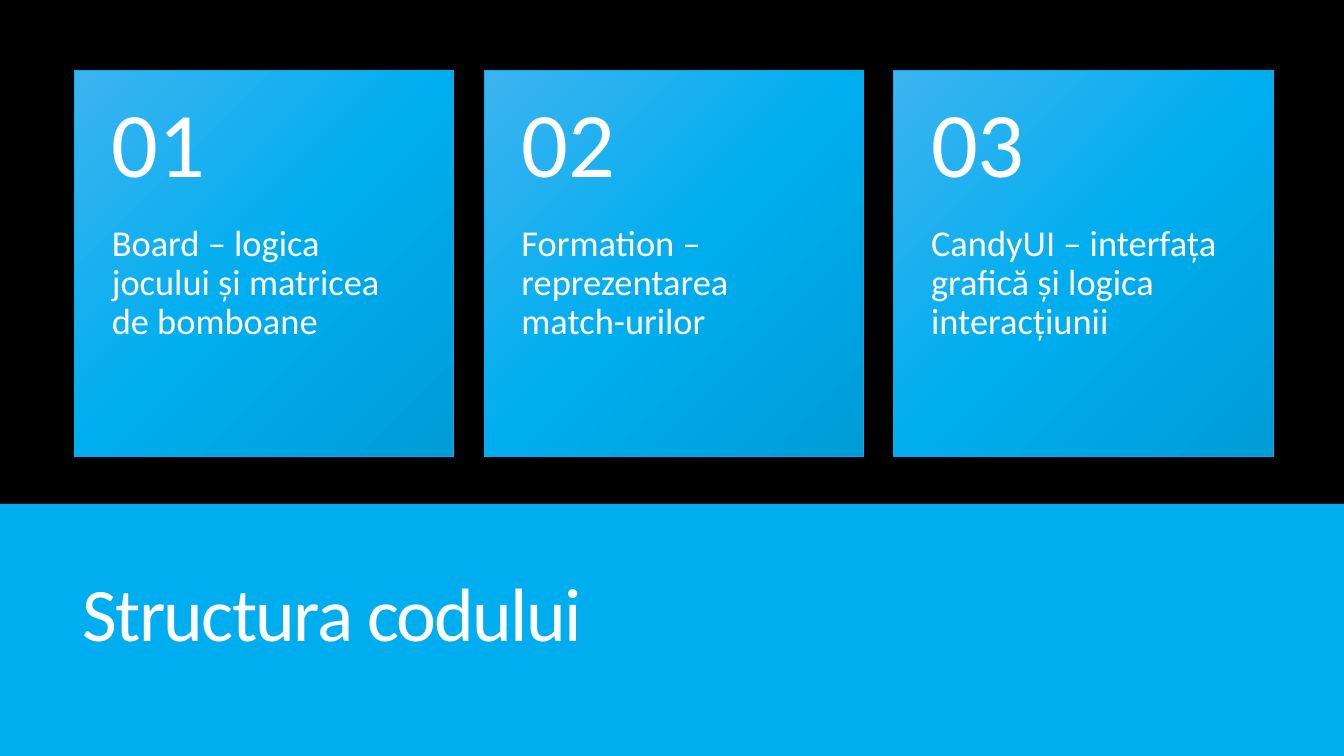
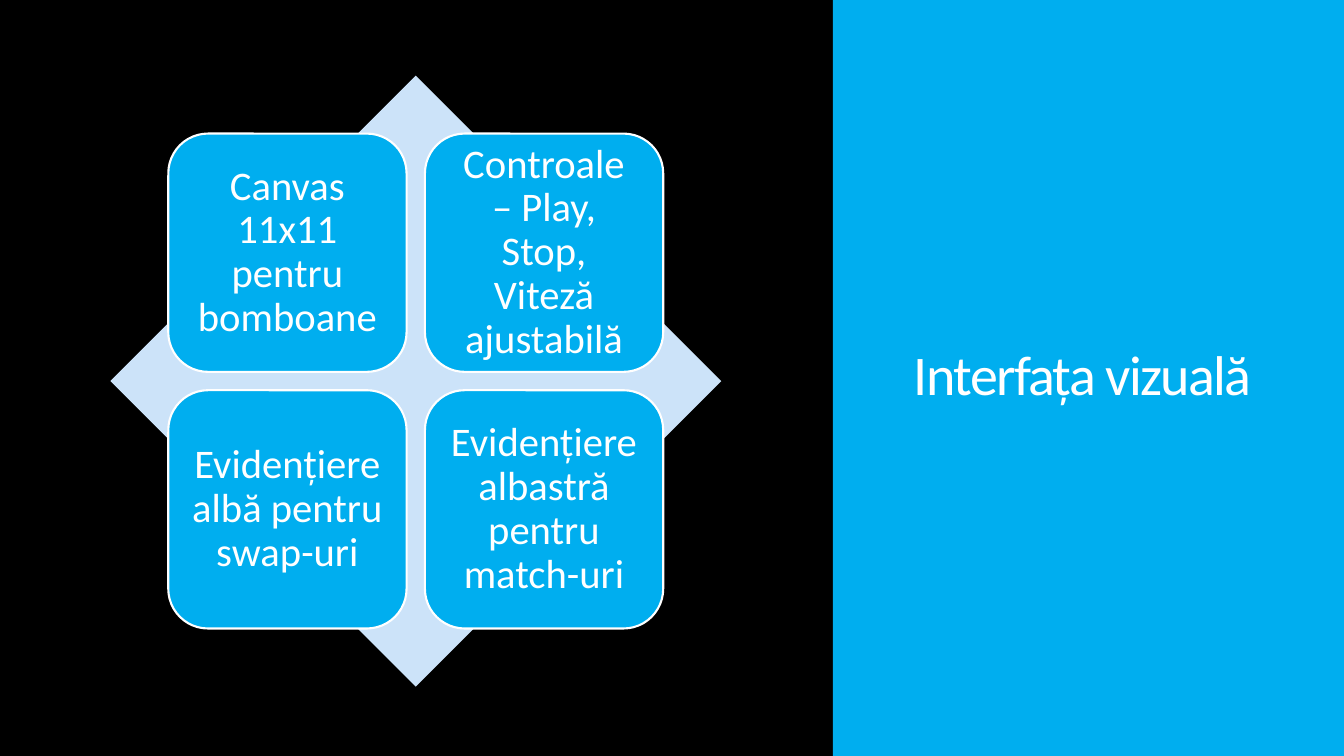
import copy

import pptx
import pptx.dml.color
import pptx.enum.shapes
import pptx.enum.text
import pptx.oxml.ns
import pptx.util

Pt = pptx.util.Pt
SHAPES = pptx.enum.shapes.MSO_SHAPE
ANCHOR = pptx.enum.text.MSO_ANCHOR
ALIGN = pptx.enum.text.PP_ALIGN

# Content
CODE_TITLE = "Structura codului"
CODE_PARTS = [
    ("01", "Board – logica jocului și matricea de bomboane"),
    ("02", "Formation – reprezentarea match-urilor"),
    ("03", "CandyUI – interfața grafică și logica interacțiunii"),
]
VISUAL_TITLE = "Interfața vizuală"
VISUAL_FEATURES = [
    "Canvas 11x11 pentru bomboane",
    "Controale – Play, Stop, Viteză ajustabilă",
    "Evidențiere albă pentru swap-uri",
    "Evidențiere albastră pentru match-uri",
]

# Shared style
WIDTH, HEIGHT = 960, 540
FONT = "Calibri"
BLACK, WHITE, BLUE, PALE = "000000", "FFFFFF", "00AEEF", "CCE3F9"
CARD_GRADIENT = [(0, "3DB3F0"), (0.5, BLUE), (1, "009CD7")]


def color(value):
    return pptx.dml.color.RGBColor.from_string(value)


def add_slide(deck):
    slide = deck.slides.add_slide(deck.slide_layouts[6])
    slide.background.fill.solid()
    slide.background.fill.fore_color.rgb = color(BLACK)
    return slide


def add_shape(slide, kind, area, fill=None, line=None, line_width=1):
    shape = slide.shapes.add_shape(kind, *map(Pt, area))
    shape.shadow.inherit = False
    if fill:
        shape.fill.solid()
        shape.fill.fore_color.rgb = color(fill)
    if line:
        shape.line.color.rgb = color(line)
        shape.line.width = Pt(line_width)
    else:
        shape.line.fill.background()
    return shape


def write(shape, text, size, insets=(7.2, 3.6, 7.2, 3.6), anchor=ANCHOR.MIDDLE,
          align=ALIGN.LEFT, line_spacing=0.9):
    frame = shape.text_frame
    frame.word_wrap = True
    frame.vertical_anchor = anchor
    frame.margin_left, frame.margin_top, frame.margin_right, frame.margin_bottom = map(Pt, insets)
    frame.text = text
    para = frame.paragraphs[0]
    para.alignment = align
    para.line_spacing = line_spacing
    span = para.runs[0]
    span.font.name = FONT
    span.font.size = Pt(size)
    span.font.color.rgb = color(WHITE)
    return span


def add_text(slide, area, text, size, **style):
    box = slide.shapes.add_textbox(*map(Pt, area))
    return write(box, text, size, **style)


def add_title_band(slide, band, area, text, size):
    add_shape(slide, SHAPES.RECTANGLE, band, BLUE)
    span = add_text(slide, area, text, size, line_spacing=0.85)
    span.font._element.set("spc", "-120")


def fill_gradient(shape, stops):
    shape.fill.gradient()
    shape.fill.gradient_angle = 315
    stop_list = shape._element.spPr.find(".//" + pptx.oxml.ns.qn("a:gsLst"))
    while len(stop_list) < len(stops):
        stop_list.append(copy.deepcopy(stop_list[0]))
    for stop, (position, value) in zip(shape.fill.gradient_stops, stops):
        stop.position = position
        stop.color.rgb = color(value)


def build_code_slide(deck):
    slide = add_slide(deck)
    add_title_band(slide, (0, 360, WIDTH, 180), (51.84, 376.6, 848, 130.3), CODE_TITLE, 54)

    # Numbered cards
    left, top, width, height, pitch = 53.2, 50.2, 271, 276, 292.6
    number_height = 110.4
    for index, (number, text) in enumerate(CODE_PARTS):
        x = left + index * pitch
        card = add_shape(slide, SHAPES.RECTANGLE, (x, top, width, height), line=BLUE, line_width=0.75)
        fill_gradient(card, CARD_GRADIENT)
        add_text(slide, (x, top + number_height, width, height - number_height), text, 26,
                 insets=(26.7, 0, 26.7, 26), anchor=ANCHOR.TOP)
        add_text(slide, (x, top, width, number_height), number, 66, insets=(26.7, 13, 26.7, 13))


def build_visual_slide(deck):
    slide = add_slide(deck)
    add_title_band(slide, (595, 0, WIDTH - 595, HEIGHT), (645.8, 50.4, 263.5, 440), VISUAL_TITLE, 40)

    # Diamond behind a two by two grid of tiles
    center_x, center_y, diamond = 297, 272.2, 436.4
    add_shape(slide, SHAPES.DIAMOND,
              (center_x - diamond / 2, center_y - diamond / 2, diamond, diamond), PALE)
    tile, gap = 170.2, 13.1
    pitch = tile + gap
    left, top = center_x - tile - gap / 2, center_y - tile - gap / 2
    for index, text in enumerate(VISUAL_FEATURES):
        row, column = divmod(index, 2)
        box = add_shape(slide, SHAPES.ROUNDED_RECTANGLE,
                        (left + column * pitch, top + row * pitch, tile, tile), BLUE, WHITE, 1.5)
        write(box, text, 29, insets=(8.7,) * 4, align=ALIGN.CENTER)


def main():
    deck = pptx.Presentation()
    deck.slide_width, deck.slide_height = Pt(WIDTH), Pt(HEIGHT)
    build_code_slide(deck)
    build_visual_slide(deck)
    deck.save("out.pptx")


if __name__ == "__main__":
    main()
